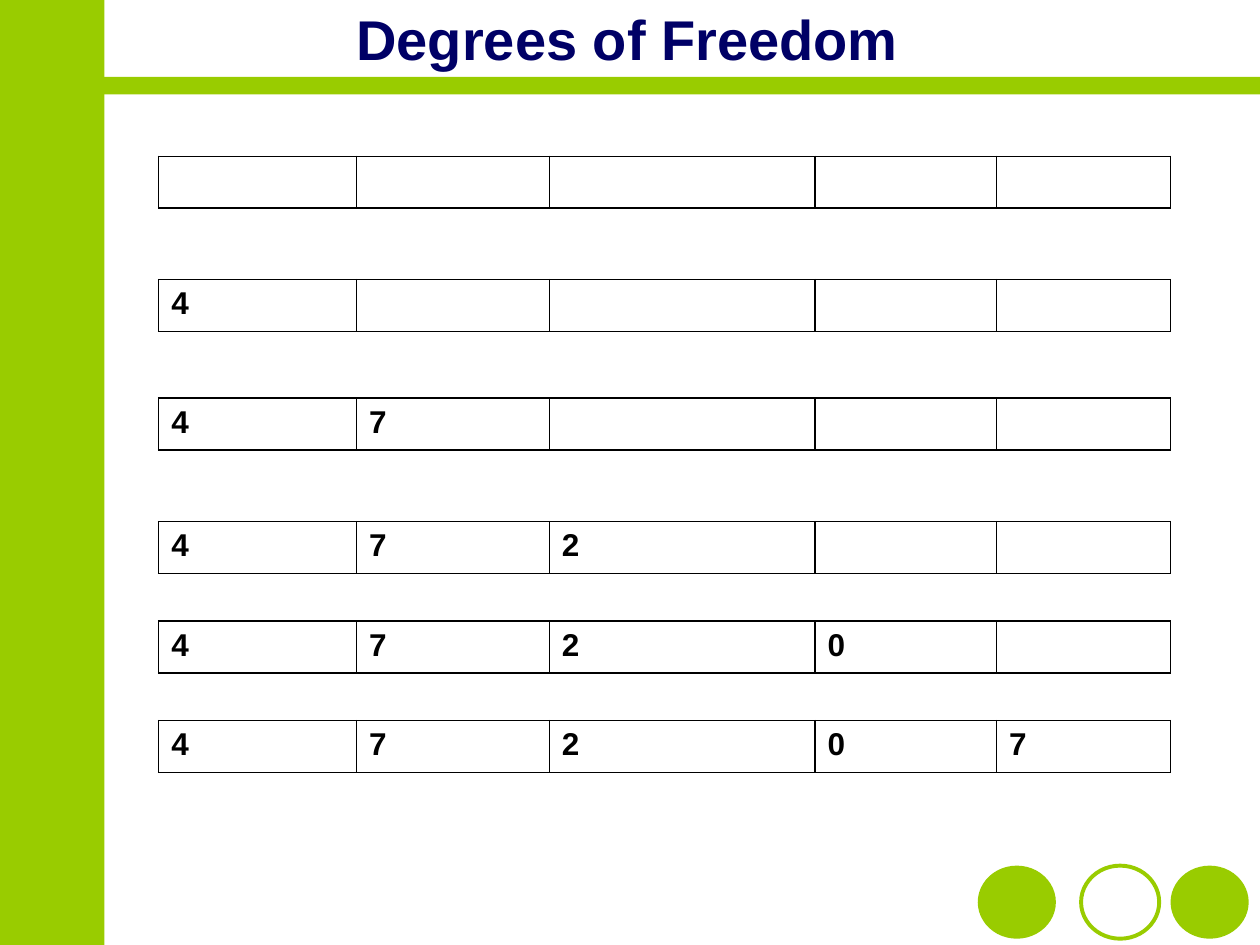
from lxml import etree
from pptx import Presentation
from pptx import util as u
from pptx.dml.color import RGBColor
from pptx.enum import shapes, text
from pptx.oxml.ns import qn

GREEN, NAVY, BLACK, WHITE = "99CC00", "000066", "000000", "FFFFFF"
COLUMNS = [1.57, 1.53, 2.11, 1.44, 1.38]
VALUES = ["4", "7", "2", "0", "7"]
TABLE_TOPS = [1.24, 2.22, 3.16, 4.14, 4.93, 5.72]
ROW_HEIGHT = 0.41


def rgb(color):
    """Turn a hex string into a colour."""
    return RGBColor.from_string(color)


def box(left, top, width, height):
    """Turn inches into position and size."""
    return [u.Inches(v) for v in (left, top, width, height)]


def format_runs(p, size, color):
    """Make the runs of a paragraph bold Arial."""
    for r in p.runs:
        r.font.name = "Arial"
        r.font.size = u.Pt(size)
        r.font.bold = True
        r.font.color.rgb = rgb(color)


def add_shape(s, kind, at, filled=True):
    """Add a green shape, either solid or outlined."""
    sp = s.shapes.add_shape(kind, *box(*at))
    sp.shadow.inherit = False
    if filled:
        sp.fill.solid()
        sp.fill.fore_color.rgb = rgb(GREEN)
        sp.line.fill.background()
    else:
        sp.fill.background()
        sp.line.color.rgb = rgb(GREEN)
        sp.line.width = u.Pt(2.25)


def add_title(s, title):
    """Add the centred slide title."""
    tf = s.shapes.add_textbox(*box(0, -0.04, 9.96, 0.68)).text_frame
    tf.word_wrap = True
    tf.vertical_anchor = text.MSO_ANCHOR.MIDDLE
    tf.text = title
    p = tf.paragraphs[0]
    p.alignment = text.PP_ALIGN.CENTER
    format_runs(p, 32, NAVY)


def add_borders(cell, color):
    """Draw a one point line on each side of a cell."""
    tc_pr = cell._tc.get_or_add_tcPr()
    for side in ("lnL", "lnR", "lnT", "lnB"):
        ln = etree.SubElement(tc_pr, qn(f"a:{side}"), w=str(u.Pt(1)))
        fill = etree.SubElement(ln, qn("a:solidFill"))
        etree.SubElement(fill, qn("a:srgbClr"), val=color)


def add_value_row(s, top, values):
    """Add a one-row table holding the values chosen so far."""
    at = box(1.26, top, sum(COLUMNS), ROW_HEIGHT)
    table = s.shapes.add_table(1, len(COLUMNS), *at).table
    table.first_row = table.horz_banding = False
    for column, width in zip(table.columns, COLUMNS):
        column.width = u.Inches(width)
    for cell in table.iter_cells():
        add_borders(cell, BLACK)
        cell.fill.solid()
        cell.fill.fore_color.rgb = rgb(WHITE)
    for i, value in enumerate(values):
        tf = table.cell(0, i).text_frame
        tf.text = value
        format_runs(tf.paragraphs[0], 18, BLACK)


def main():
    """Build the slide."""
    prs = Presentation()
    prs.slide_width, prs.slide_height = u.Inches(10), u.Inches(7.5)
    s = prs.slides.add_slide(prs.slide_layouts[6])
    kind = shapes.MSO_SHAPE
    add_shape(s, kind.RECTANGLE, (0, 0, 0.83, 7.5))
    add_shape(s, kind.RECTANGLE, (0, 0.61, 10, 0.14))
    for left, filled in ((7.76, True), (8.58, False), (9.29, True)):
        add_shape(s, kind.OVAL, (left, 6.87, 0.62, 0.58), filled)
    add_title(s, "Degrees of Freedom")
    for known, top in enumerate(TABLE_TOPS):
        add_value_row(s, top, VALUES[:known])
    prs.save("out.pptx")


if __name__ == "__main__":
    main()
